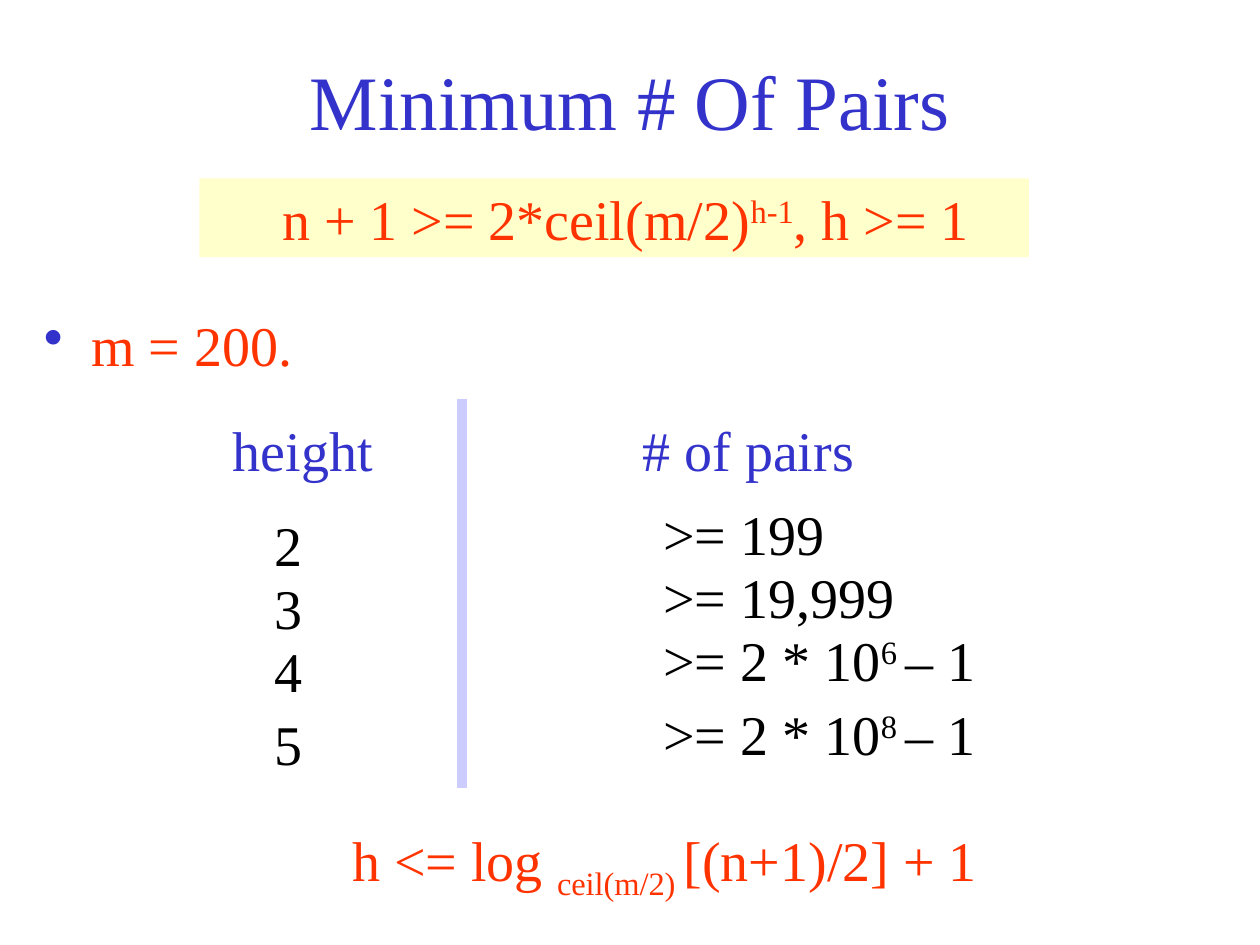
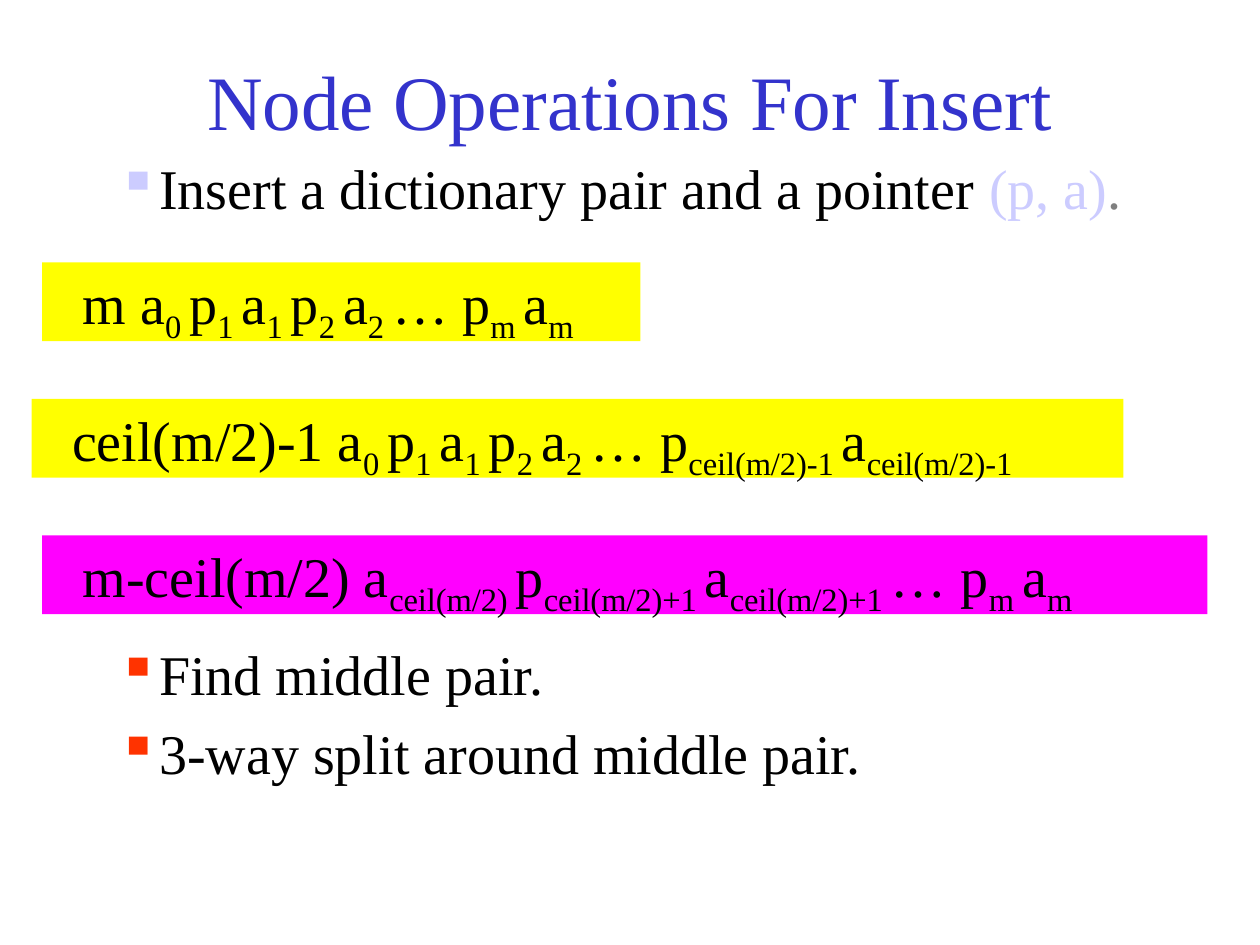
from lxml.etree import SubElement as Sub
from pptx import Presentation
from pptx.dml.color import RGBColor
from pptx.enum.shapes import MSO_CONNECTOR as Wire, MSO_SHAPE as Form
from pptx.enum.text import MSO_ANCHOR as Anchor, PP_ALIGN as Align
from pptx.oxml.ns import qn
from pptx.util import Pt

BLUE, PALE, RED, BLACK = "3333CC", "CCCCFF", "FF3300", "000000"
CREAM, WHITE, YELLOW, PINK, GREY = "FFFFCC", "FFFFFF", "FFFF00", "FF00FF", "808080"
SUPER, UNDER = "30000", "-25000"
CHAIN = "a|0 |p|1 |a|1 |p|2 |a|2 |… p|"


def paint(target, tone):
    target.rgb = RGBColor.from_string(tone)


class Deck:
    face, size, head = "Times New Roman", 32, 44
    row = 45

    def __init__(self):
        self.show = Presentation()
        self.show.slide_width, self.show.slide_height = Pt(720), Pt(540)

    def page(self, title):
        self.slide = self.show.slides.add_slide(self.show.slide_layouts[5])
        box = self.slide.shapes.title
        box.left, box.top, box.width, box.height = Pt(54), Pt(12), Pt(612), Pt(90)
        box.text_frame.vertical_anchor = Anchor.MIDDLE
        para = box.text_frame.paragraphs[0]
        para.text = title
        para.alignment = Align.CENTER
        self.style(para, BLUE, self.head)

    def style(self, para, tone, size=None):
        font = para.font
        font.name, font.size = self.face, Pt(size or self.size)
        paint(font.color, tone)

    def letter(self, para, text, tone, shift=UNDER):
        para.alignment = Align.LEFT
        self.style(para, tone)
        for i, part in enumerate(text.split("|")):
            if part:
                run = para.add_run()
                run.text = part
                if i % 2:
                    run._r.get_or_add_rPr().set("baseline", shift)

    def box(self, x, y, wide, high=row):
        frame = self.slide.shapes.add_textbox(Pt(x), Pt(y), Pt(wide), Pt(high)).text_frame
        frame.word_wrap = True
        return frame

    def label(self, x, y, wide, text, tone=BLACK, shift=SUPER):
        self.letter(self.box(x, y, wide).paragraphs[0], text, tone, shift)

    def band(self, x, y, wide, fill, text, tone=BLACK, pad=16, shift=UNDER):
        bar = self.slide.shapes.add_shape(Form.RECTANGLE, Pt(x), Pt(y), Pt(wide), Pt(self.row))
        bar.shadow.inherit = False
        bar.fill.solid()
        paint(bar.fill.fore_color, fill)
        bar.line.fill.background()
        frame = bar.text_frame
        frame.word_wrap = True
        frame.vertical_anchor = Anchor.TOP
        frame.margin_left = Pt(7.2 + pad)
        self.letter(frame.paragraphs[0], text, tone, shift)

    def points(self, x, y, wide, high, items, mark, hue, tone=BLACK, left=58.5, hang=22.5):
        frame = self.box(x, y, wide, high)
        for i, text in enumerate(items):
            para = frame.add_paragraph() if i else frame.paragraphs[0]
            props = para._p.get_or_add_pPr()
            props.set("marL", str(Pt(left)))
            props.set("indent", str(-Pt(hang)))
            Sub(Sub(props, qn("a:buClr")), qn("a:srgbClr")).set("val", hue)
            Sub(props, qn("a:buChar")).set("char", mark)
            if i:
                para.space_before = Pt(6.4)
            self.letter(para, text, tone)
        return frame

    def rule(self, x, top, end, tone, thick):
        line = self.slide.shapes.add_connector(Wire.STRAIGHT, Pt(x), Pt(top), Pt(x), Pt(end))
        paint(line.line.color, tone)
        line.line.width = Pt(thick)
        Sub(line._element.spPr, qn("a:effectLst"))


def pairs(deck):
    deck.page("Minimum # Of Pairs")
    deck.points(18, 174, 612, 72, ["m = 200."], "•", BLUE, RED, 27, 27)
    deck.band(114, 102, 474, CREAM, "n + 1 >= 2*ceil(m/2)|h-1|, h >= 1", RED, 40, SUPER)
    deck.label(126, 234, 108, "height", BLUE)
    deck.label(360, 234, 162, "# of pairs", BLUE)
    deck.rule(264, 228, 450, PALE, 6)
    rows = [
        (288, "2", ">= 199"),
        (324, "3", ">= 19,999"),
        (360, "4", ">= 2 * 10|6 |– 1"),
        (402, "5", ">= 2 * 10|8 |– 1"),
    ]
    for y, height, count in rows:
        deck.label(150, y, 108, height)
        deck.label(372, y - 6, 270, count)
    deck.band(114, 468, 474, WHITE, "h <= log |ceil(m/2) |[(n+1)/2] + 1", RED, 80)


def insert(deck):
    deck.page("Node Operations For Insert")
    steps = ["Find middle pair.", "3-way split around middle pair."]
    deck.points(24, 362, 642, 94, steps, "▪", RED)
    half = "ceil(m/2)"
    nodes = [
        (24, 342, YELLOW, f"m {CHAIN}m |a|m"),
        (18, 624, YELLOW, f"{half}-1 {CHAIN}{half}-1 |a|{half}-1"),
        (24, 666, PINK, f"m-{half} a|{half} |p|{half}+1 |a|{half}+1 |… p|m |a|m"),
    ]
    for i, (x, wide, fill, text) in enumerate(nodes):
        deck.band(x, 150 + 78 * i, wide, fill, text)
    lead = "Insert a dictionary pair and a pointer "
    frame = deck.points(24, 84, 642, 54, [lead], "▪", PALE)
    for text, tone in [("(p, a)", PALE), (".", GREY)]:
        run = frame.paragraphs[0].add_run()
        run.text = text
        paint(run.font.color, tone)


def main():
    deck = Deck()
    pairs(deck)
    insert(deck)
    deck.show.save("out.pptx")


if __name__ == "__main__":
    main()
